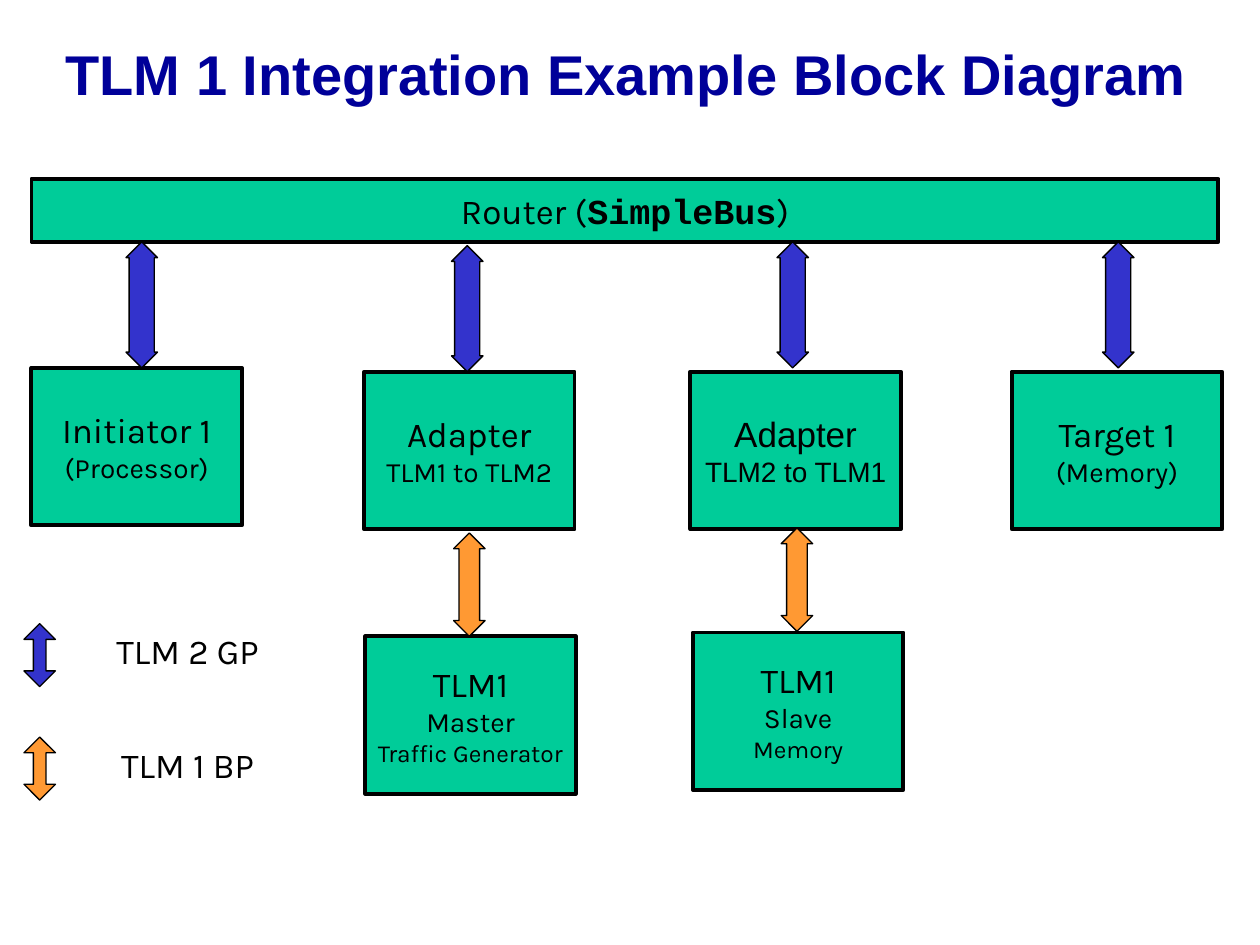
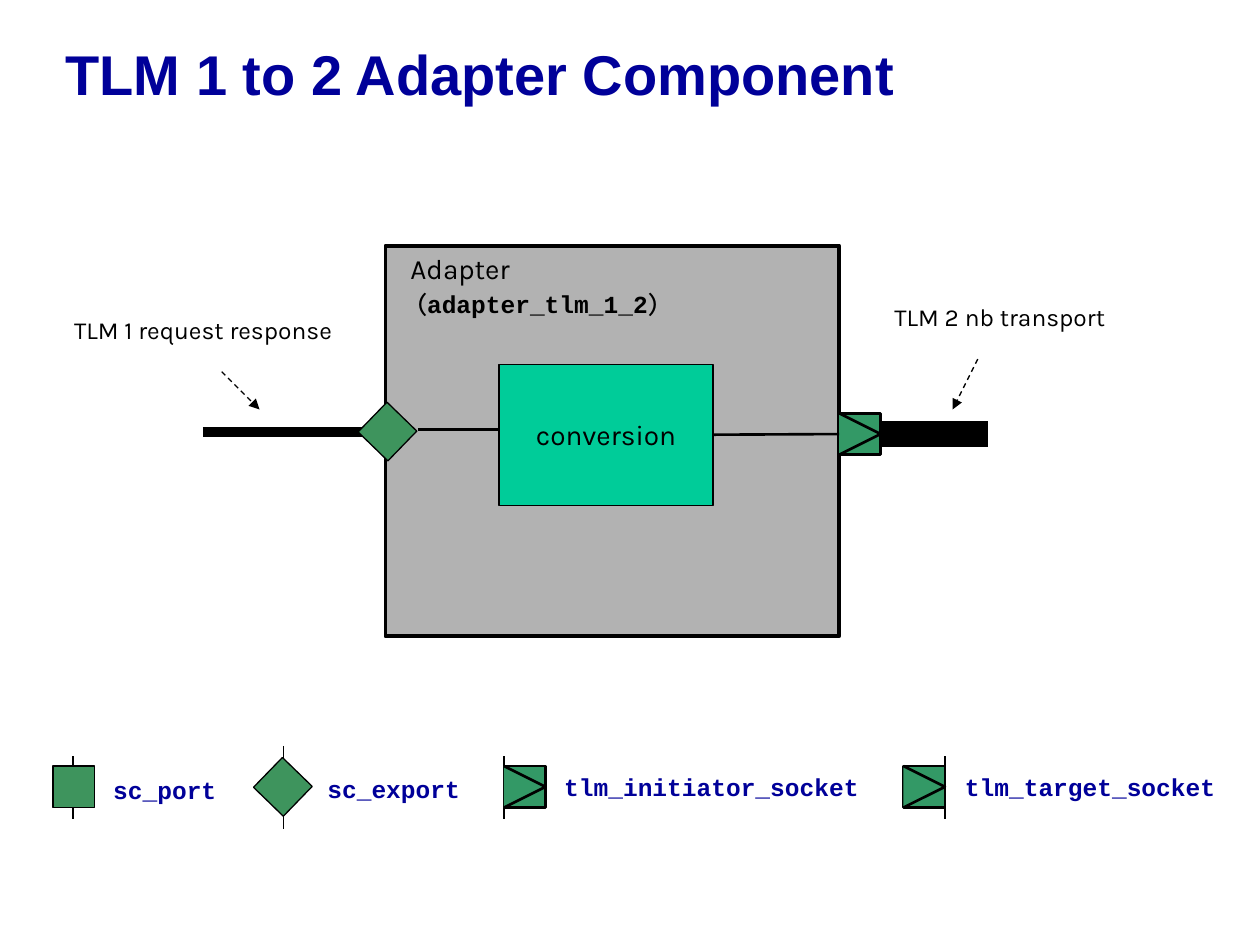
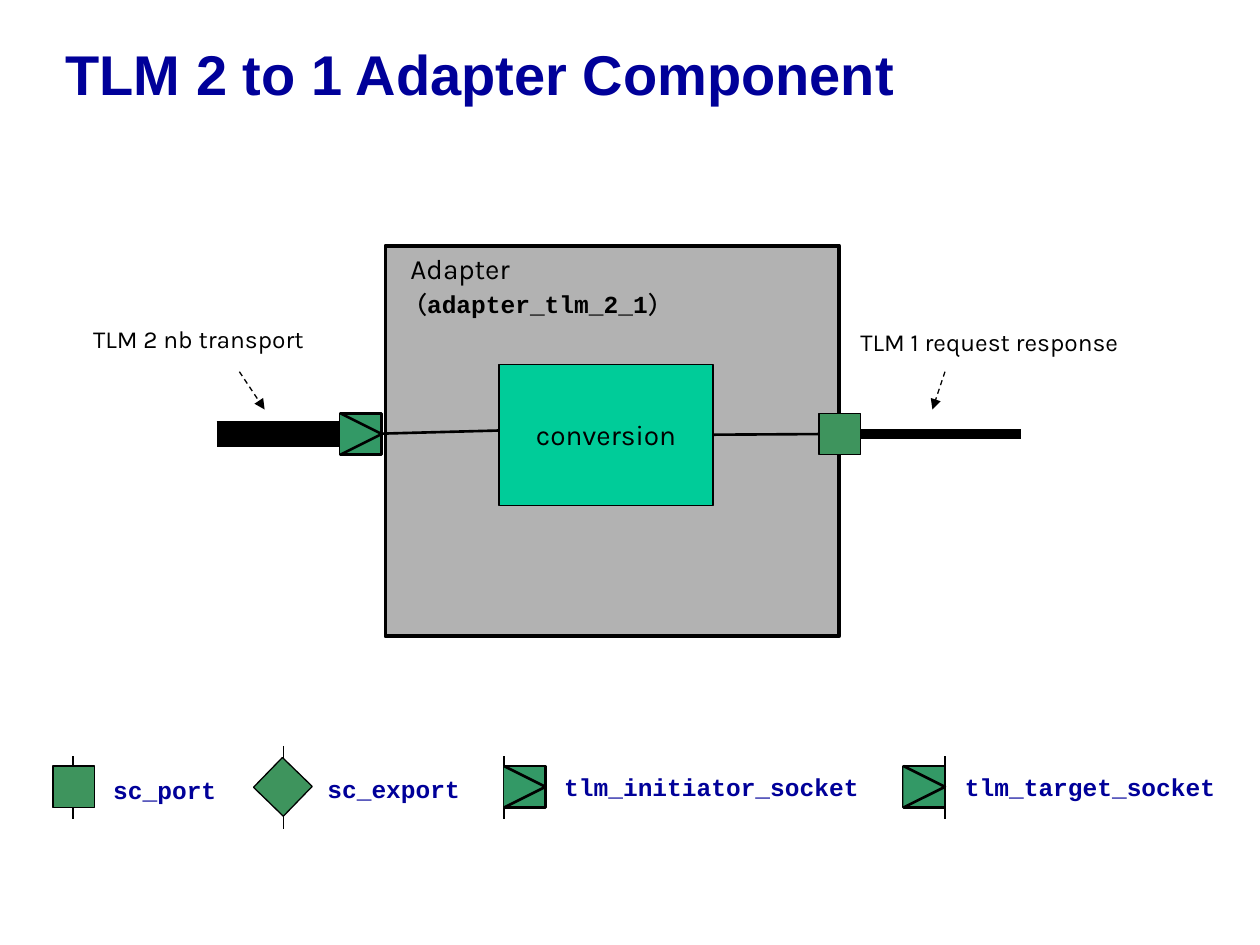
from dataclasses import dataclass, replace

from lxml import etree
from pptx import Presentation
from pptx import util as u
from pptx.dml.color import RGBColor
from pptx.enum import dml, shapes, text
from pptx.oxml.ns import qn


@dataclass(frozen=True)
class Type:
    font: str
    size: int
    color: str = "000000"
    bold: bool = False


@dataclass(frozen=True)
class Theme:
    black: str = "000000"
    block: str = "00CC99"
    adapter: str = "B2B2B2"
    port: str = "3E945D"
    socket: str = "339966"
    tlm2: str = "3333CC"
    tlm1: str = "FF9933"
    thin: float = 0.75
    medium: float = 1.5
    border: float = 2.25
    tlm1_bus: float = 6
    tlm2_bus: float = 15
    title: Type = Type("Arial", 32, "000099", True)
    head: Type = Type("Karla", 20)
    body: Type = Type("Karla", 16)
    small: Type = Type("Karla", 14)
    bus_name: Type = Type("Courier New", 20, bold=True)
    class_name: Type = Type("Courier New", 14, bold=True)
    legend: Type = Type("Courier New", 14, "000099", True)


THEME = Theme()
MARK = 0.33  # side of a port or socket
MARK_TOP = 3.28
BUS_Y = MARK_TOP + MARK / 2
RECT = shapes.MSO_SHAPE.RECTANGLE
LEFT, CENTER = text.PP_ALIGN.LEFT, text.PP_ALIGN.CENTER


def inches(*lengths):
    return [u.Inches(length) for length in lengths]


def rgb(color):
    return RGBColor.from_string(color)


def write(frame, paragraphs, align=LEFT):
    """Fill a frame; each paragraph is a list of (words, Type) runs."""
    for index, runs in enumerate(paragraphs):
        paragraph = frame.add_paragraph() if index else frame.paragraphs[0]
        paragraph.alignment = align
        for words, style in runs:
            run = paragraph.add_run()
            run.text = words
            run.font.name = style.font
            run.font.size = u.Pt(style.size)
            run.font.bold = style.bold
            run.font.color.rgb = rgb(style.color)


def paint(shape, fill, weight):
    shape.shadow.inherit = False
    shape.fill.solid()
    shape.fill.fore_color.rgb = rgb(fill)
    shape.line.color.rgb = rgb(THEME.black)
    shape.line.width = u.Pt(weight)


def titled_slide(deck, words):
    slide = deck.slides.add_slide(deck.slide_layouts[5])
    title = slide.shapes.title
    title.left, title.top, title.width, title.height = inches(0.42, 0, 9.5, 1.25)
    frame = title.text_frame
    frame.auto_size = text.MSO_AUTO_SIZE.NONE
    frame.vertical_anchor = text.MSO_ANCHOR.MIDDLE
    write(frame, [[(words, THEME.title)]])
    frame.paragraphs[0].line_spacing = 0.85
    return slide


def block(slide, box, paragraphs=(), fill=THEME.block, weight=THEME.border):
    shape = slide.shapes.add_shape(RECT, *inches(*box))
    paint(shape, fill, weight)
    frame = shape.text_frame
    frame.word_wrap = False
    frame.vertical_anchor = text.MSO_ANCHOR.MIDDLE
    write(frame, paragraphs, CENTER)
    return shape


def label(slide, box, paragraphs, align=LEFT, wrap=False):
    frame = slide.shapes.add_textbox(*inches(*box)).text_frame
    frame.word_wrap = wrap
    frame.auto_size = text.MSO_AUTO_SIZE.SHAPE_TO_FIT_TEXT
    write(frame, paragraphs, align)


def two_way_arrow(slide, left, top, height, fill):
    width = 0.25
    arrow = slide.shapes.add_shape(
        shapes.MSO_SHAPE.UP_DOWN_ARROW, *inches(left, top, width, height))
    arrow.adjustments[0] = 0.5
    arrow.adjustments[1] = 0.2 * height / width  # each head is a fifth of the height
    paint(arrow, fill, THEME.thin)


def wire(slide, start, end, weight=THEME.thin):
    line = slide.shapes.add_connector(
        shapes.MSO_CONNECTOR.STRAIGHT, *inches(*start, *end))
    line.line.color.rgb = rgb(THEME.black)
    line.line.width = u.Pt(weight)
    etree.SubElement(line._element.spPr, qn("a:effectLst"))
    return line


def pointer(slide, start, end):
    line = wire(slide, start, end)
    line.line.dash_style = dml.MSO_LINE.DASH
    outline = line._element.spPr.find(qn("a:ln"))
    etree.SubElement(outline, qn("a:tailEnd"), type="triangle")


def port(slide, left, top):
    return block(slide, (left, top, MARK, MARK), fill=THEME.port, weight=THEME.thin)


def export(slide, left, top):
    diamond = port(slide, left, top)
    diamond.rotation = 44.1
    return diamond


def socket(slide, left, top):
    square = block(slide, (left, top, MARK, MARK), fill=THEME.socket, weight=THEME.medium)
    outline = slide.shapes.build_freeform(*inches(left, top))
    outline.add_line_segments(
        [inches(left + MARK, top + MARK / 2), inches(left, top + MARK)], close=False)
    paint(outline.convert_to_shape(), THEME.socket, THEME.medium)
    return square


def legend(slide):
    top, middle = 6.08, 6.25
    entries = [  # name, mark, mark left, line x, half line, label left, top and width
        ("sc_port", port, 0.42, 0.58, 0.25, 0.8, 6.1, 1.02),
        ("sc_export", export, 2.08, 2.25, 0.33, 2.5, 6.09, 1.25),
        ("tlm_initiator_socket", socket, 4, 4, 0.25, 4.38, 6.08, 2.54),
        ("tlm_target_socket", socket, 7.17, 7.5, 0.25, 7.56, 6.08, 2.19),
    ]
    for name, mark, left, line_x, reach, label_left, label_top, width in entries:
        wire(slide, (line_x, middle - reach), (line_x, middle + reach))
        mark(slide, left, top)
        label(slide, (label_left, label_top, width, 0.34), [[(name, THEME.legend)]])


def adapter_body(slide, class_name):
    block(slide, (3.06, 1.95, 3.6, 3.1), fill=THEME.adapter)
    label(slide, (3.16, 1.95, 3.1, 0.64), [
        [("Adapter", THEME.body)],
        [(" (", THEME.body), (class_name, THEME.class_name), (")", THEME.body)],
    ], wrap=True)


def conversion_block(slide, left_wire_start):
    """Draw the conversion over the end of the wire that enters it from the left."""
    wire(slide, left_wire_start, (4.22, 3.41), THEME.medium)
    return block(slide, (3.96, 2.89, 1.7, 1.12), [[("conversion", THEME.body)]],
                 weight=THEME.thin)


def connect_right(slide, conversion, mark, bus_end, bus_weight):
    """Join the conversion to the right-hand mark, and the mark to its bus."""
    inner = wire(slide, (5.66, BUS_Y), (6.66, BUS_Y), THEME.medium)
    inner.begin_connect(conversion, 3)
    inner.end_connect(mark, 1)
    wire(slide, (6.99, BUS_Y), (bus_end, BUS_Y), bus_weight).begin_connect(mark, 3)


def callout(slide, words, box, start, end):
    label(slide, (*box, 0.34), [[(words, THEME.small)]])
    pointer(slide, start, end)


def block_diagram(deck):
    slide = titled_slide(deck, "TLM 1 Integration Example Block Diagram")
    block(slide, (0.25, 1.42, 9.42, 0.5), [[
        ("Router (", THEME.head), ("SimpleBus", THEME.bus_name), (")", THEME.head)]])

    line_types = (THEME.head, THEME.body, THEME.small)
    modules = [
        (0.25, 2.92, ("Initiator 1", "(Processor)"), "Karla"),
        (2.89, 2.95, ("Adapter", "TLM1 to TLM2"), "Karla"),
        (5.48, 2.95, ("Adapter", "TLM2 to TLM1"), "Arial"),
        (8.03, 2.95, ("Target 1", "(Memory)"), "Karla"),
        (2.9, 5.05, ("TLM1", "Master", "Traffic Generator"), "Karla"),
        (5.5, 5.02, ("TLM1", "Slave", "Memory"), "Karla"),
    ]
    for left, top, lines, font in modules:
        block(slide, (left, top, 1.67, 1.25),
              [[(line, replace(style, font=font))]
               for line, style in zip(lines, line_types)])

    for column, top in enumerate((1.92, 1.95, 1.92, 1.92)):
        two_way_arrow(slide, 1 + column * 7.75 / 3, top, 1, THEME.tlm2)
    for left, top in ((3.6, 4.23), (6.2, 4.19)):
        two_way_arrow(slide, left, top, 0.82, THEME.tlm1)

    for top, protocol, color in ((4.95, "TLM 2 GP", THEME.tlm2),
                                 (5.85, "TLM 1 BP", THEME.tlm1)):
        two_way_arrow(slide, 0.19, top, 0.5, color)
        label(slide, (0.78, top, 1.42, 0.44), [[(protocol, THEME.head)]], CENTER)


def adapter_1_to_2(deck):
    slide = titled_slide(deck, "TLM 1 to 2 Adapter Component")
    legend(slide)
    wire(slide, (1.61, 3.43), (2.91, 3.43), THEME.tlm1_bus)
    adapter_body(slide, "adapter_tlm_1_2")
    export(slide, 2.91, 3.26)
    conversion = conversion_block(slide, (3.32, 3.41))
    initiator = socket(slide, 6.66, MARK_TOP)
    connect_right(slide, conversion, initiator, 7.84, THEME.tlm2_bus)
    callout(slide, "TLM 1 request response", (0.49, 2.45, 2.4), (1.76, 2.95), (2.06, 3.25))
    callout(slide, "TLM 2 nb transport", (7, 2.35, 1.95), (7.76, 2.85), (7.56, 3.25))


def adapter_2_to_1(deck):
    slide = titled_slide(deck, "TLM 2 to 1 Adapter Component")
    legend(slide)
    adapter_body(slide, "adapter_tlm_2_1")
    conversion = conversion_block(slide, (2.9, BUS_Y))
    target = socket(slide, 2.7, MARK_TOP)
    wire(slide, (1.72, BUS_Y), (2.7, BUS_Y), THEME.tlm2_bus).end_connect(target, 1)
    request_port = port(slide, 6.5, MARK_TOP)
    connect_right(slide, conversion, request_port, 8.1, THEME.tlm1_bus)
    callout(slide, "TLM 2 nb transport", (0.64, 2.52, 1.95), (1.9, 2.95), (2.1, 3.25))
    callout(slide, "TLM 1 request response", (6.73, 2.55, 2.4), (7.5, 2.95), (7.4, 3.25))


def main():
    deck = Presentation()
    deck.slide_width, deck.slide_height = inches(10, 7.5)
    block_diagram(deck)
    adapter_1_to_2(deck)
    adapter_2_to_1(deck)
    deck.save("out.pptx")


if __name__ == "__main__":
    main()
